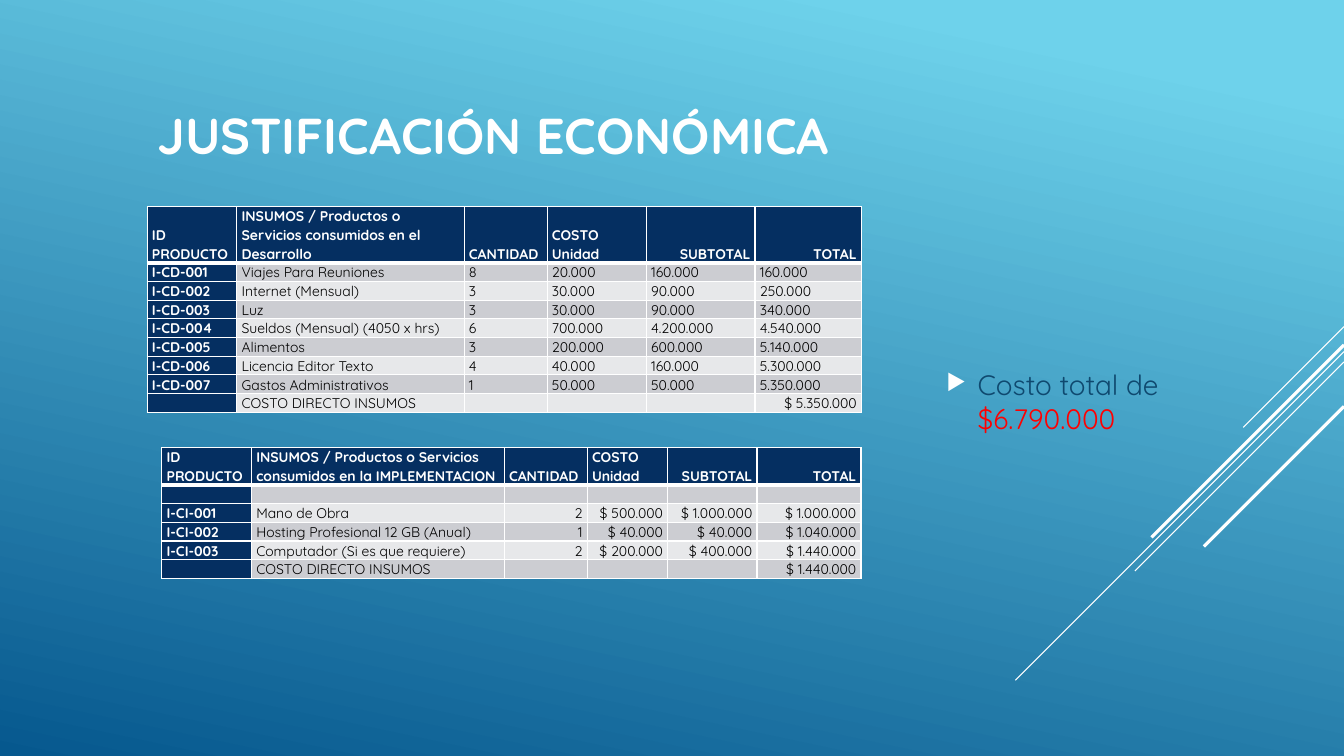
import dataclasses

import lxml.etree
import pptx
import pptx.dml.color
import pptx.enum.shapes
import pptx.enum.text
import pptx.oxml.ns
import pptx.util

Cm = pptx.util.Cm
Pt = pptx.util.Pt
qn = pptx.oxml.ns.qn
ALIGN = pptx.enum.text.PP_ALIGN
ANCHOR = pptx.enum.text.MSO_ANCHOR


@dataclasses.dataclass(frozen=True)
class Theme:
    font: str = "Quicksand"
    sky: str = "6ED2EB"
    ocean: str = "06588E"
    white: str = "FFFFFF"
    black: str = "000000"
    navy: str = "052F61"
    dark_band: str = "CCCDD2"
    light_band: str = "E7E8EA"
    note: str = "0F496F"
    amount: str = "FF0000"
    title_size: int = 36
    note_size: int = 20
    table_size: int = 10
    thin: float = 0.75
    thick: float = 2.25
    border: int = 1
    header_border: int = 3


THEME = Theme()
SLIDE_WIDTH, SLIDE_HEIGHT = 33.87, 19.05
HEADER_LINE, BODY_LINE = 0.47, 0.47

DEVELOPMENT = [
    ["ID PRODUCTO", "INSUMOS / Productos o Servicios consumidos en el Desarrollo",
     "CANTIDAD", "COSTO Unidad", "SUBTOTAL", "TOTAL"],
    ["I-CD-001", "Viajes Para Reuniones", "8", "20.000", "160.000", "160.000"],
    ["I-CD-002", "Internet (Mensual)", "3", "30.000", "90.000", "250.000"],
    ["I-CD-003", "Luz", "3", "30.000", "90.000", "340.000"],
    ["I-CD-004", "Sueldos (Mensual) (4050 x hrs)", "6", "700.000", "4.200.000", "4.540.000"],
    ["I-CD-005", "Alimentos", "3", "200.000", "600.000", "5.140.000"],
    ["I-CD-006", "Licencia Editor Texto", "4", "40.000", "160.000", "5.300.000"],
    ["I-CD-007", "Gastos Administrativos", "1", "50.000", "50.000", "5.350.000"],
    ["", "COSTO DIRECTO INSUMOS", "", "", "", "$ 5.350.000"],
]
IMPLEMENTATION = [
    ["ID PRODUCTO", "INSUMOS / Productos o Servicios consumidos en la IMPLEMENTACION",
     "CANTIDAD", "COSTO Unidad", "SUBTOTAL", "TOTAL"],
    [""] * 6,
    ["I-CI-001", "Mano de Obra", "2", "$ 500.000", "$ 1.000.000", "$ 1.000.000"],
    ["I-CI-002", "Hosting Profesional 12 GB (Anual)", "1", "$ 40.000", "$ 40.000", "$ 1.040.000"],
    ["I-CI-003", "Computador (Si es que requiere)", "2", "$ 200.000", "$ 400.000", "$ 1.440.000"],
    ["", "COSTO DIRECTO INSUMOS", "", "", "", "$ 1.440.000"],
]


def rgb(color):
    return pptx.dml.color.RGBColor.from_string(color)


def write_text(para, text, size, color, bold=False, align=ALIGN.LEFT, spacing=None):
    para.alignment = align
    if spacing:
        para.line_spacing = spacing
    if not text:
        lxml.etree.SubElement(para._p, qn("a:endParaRPr"), sz=str(size * 100))
        return
    span = para.add_run()
    span.text = text
    span.font.name = THEME.font
    span.font.size = Pt(size)
    span.font.bold = bold
    span.font.color.rgb = rgb(color)


def paint_background(page):
    fill = page.background.fill
    fill.gradient()
    fill.gradient_angle = 258
    for stop, position, color in zip(fill.gradient_stops, (0.1, 1), (THEME.sky, THEME.ocean)):
        stop.position = position
        stop.color.rgb = rgb(color)


def draw_rays(page, right):
    rays = [(8.23, 2.54, THEME.thin), (8.86, 8.28, THEME.thin), (9.12, 5.27, THEME.thin),
            (8.69, 4.85, THEME.thick), (10.24, 3.53, THEME.thick)]
    for top, reach, weight in rays:
        ray = page.shapes.add_connector(
            pptx.enum.shapes.MSO_CONNECTOR.STRAIGHT,
            Cm(right), Cm(top), Cm(right - reach), Cm(top + reach))
        ray.line.color.rgb = rgb(THEME.white)
        ray.line.width = Pt(weight)
        lxml.etree.SubElement(ray._element.spPr, qn("a:effectLst"))


def place_title(page, left, top, width, height):
    title = page.shapes.title
    title.left, title.top, title.width, title.height = Cm(left), Cm(top), Cm(width), Cm(height)
    frame = title.text_frame
    frame.word_wrap = True
    frame.auto_size = pptx.enum.text.MSO_AUTO_SIZE.NONE
    frame.vertical_anchor = ANCHOR.MIDDLE
    write_text(frame.paragraphs[0], "JUSTIFICACIÓN ECONÓMICA",
               size=THEME.title_size, color=THEME.white, bold=True)


def set_borders(cell, top, bottom):
    properties = cell._tc.get_or_add_tcPr()
    weights = {"L": THEME.border, "R": THEME.border, "T": top, "B": bottom}
    for index, (side, weight) in enumerate(weights.items()):
        line = lxml.etree.Element(qn(f"a:ln{side}"), w=str(Pt(weight)))
        fill = lxml.etree.SubElement(line, qn("a:solidFill"))
        lxml.etree.SubElement(fill, qn("a:srgbClr"), val=THEME.white)
        properties.insert(index, line)


def place_cost_table(page, left, top, widths, rows, header_lines, numbers_align):
    header_height = header_lines * HEADER_LINE
    height = header_height + (len(rows) - 1) * BODY_LINE
    table = page.shapes.add_table(len(rows), len(widths), Cm(left), Cm(top),
                                  Cm(sum(widths)), Cm(height)).table
    for column, width in zip(table.columns, widths):
        column.width = Cm(width)
    last = len(rows) - 1
    for row, texts in enumerate(rows):
        header = row == 0
        table.rows[row].height = Cm(header_height if header else BODY_LINE)
        for column, text in enumerate(texts):
            cell = table.cell(row, column)
            strong = header or column == 0
            band = THEME.dark_band if row % 2 else THEME.light_band
            cell.fill.solid()
            cell.fill.fore_color.rgb = rgb(THEME.navy if strong else band)
            cell.margin_left = cell.margin_right = Cm(0.12)
            cell.margin_top = cell.margin_bottom = 0
            middle = not header and (column == 0 or row == last)
            cell.vertical_anchor = ANCHOR.MIDDLE if middle else ANCHOR.BOTTOM
            align = ALIGN.LEFT
            if column >= 4 and (header or row == last):
                align = ALIGN.RIGHT
            elif column >= 2 and not header:
                align = numbers_align
            write_text(cell.text_frame.paragraphs[0], text, size=THEME.table_size,
                       color=THEME.white if strong else THEME.black,
                       bold=strong, align=align, spacing=1.07)
            set_borders(cell, THEME.header_border if row == 1 else THEME.border,
                        THEME.header_border if header else THEME.border)


def place_total_note(page, left, top, width, height):
    frame = page.shapes.add_textbox(Cm(left), Cm(top), Cm(width), Cm(height)).text_frame
    frame.word_wrap = True
    frame.vertical_anchor = ANCHOR.MIDDLE
    para = frame.paragraphs[0]
    para.space_after = Pt(6)
    properties = para._p.get_or_add_pPr()
    properties.set("marL", str(Cm(0.79)))
    properties.set("indent", str(-Cm(0.79)))
    bullet_color = lxml.etree.SubElement(properties, qn("a:buClr"))
    lxml.etree.SubElement(bullet_color, qn("a:srgbClr"), val=THEME.white)
    lxml.etree.SubElement(properties, qn("a:buSzPct"), val="80000")
    lxml.etree.SubElement(properties, qn("a:buChar"), char="▶")
    write_text(para, "Costo total de ", size=THEME.note_size, color=THEME.note)
    write_text(para, "$6.790.000", size=THEME.note_size, color=THEME.amount)


def build_cost_page(deck):
    page = deck.slides.add_slide(deck.slide_layouts[5])
    paint_background(page)
    draw_rays(page, right=SLIDE_WIDTH)
    place_title(page, left=3.71, top=1.3, width=23.7, height=4.19)
    place_cost_table(page, left=3.71, top=5.21, widths=[2.26, 5.73, 2.09, 2.5, 2.74, 2.68],
                     rows=DEVELOPMENT, header_lines=3, numbers_align=ALIGN.LEFT)
    place_cost_table(page, left=4.08, top=11.28, widths=[2.26, 6.37, 2.09, 2.03, 2.25, 2.62],
                     rows=IMPLEMENTATION, header_lines=2, numbers_align=ALIGN.RIGHT)
    place_total_note(page, left=23.6, top=3.58, width=7.44, height=13.08)


def main():
    deck = pptx.Presentation()
    deck.slide_width, deck.slide_height = Cm(SLIDE_WIDTH), Cm(SLIDE_HEIGHT)
    build_cost_page(deck)
    deck.save("out.pptx")


if __name__ == "__main__":
    main()
